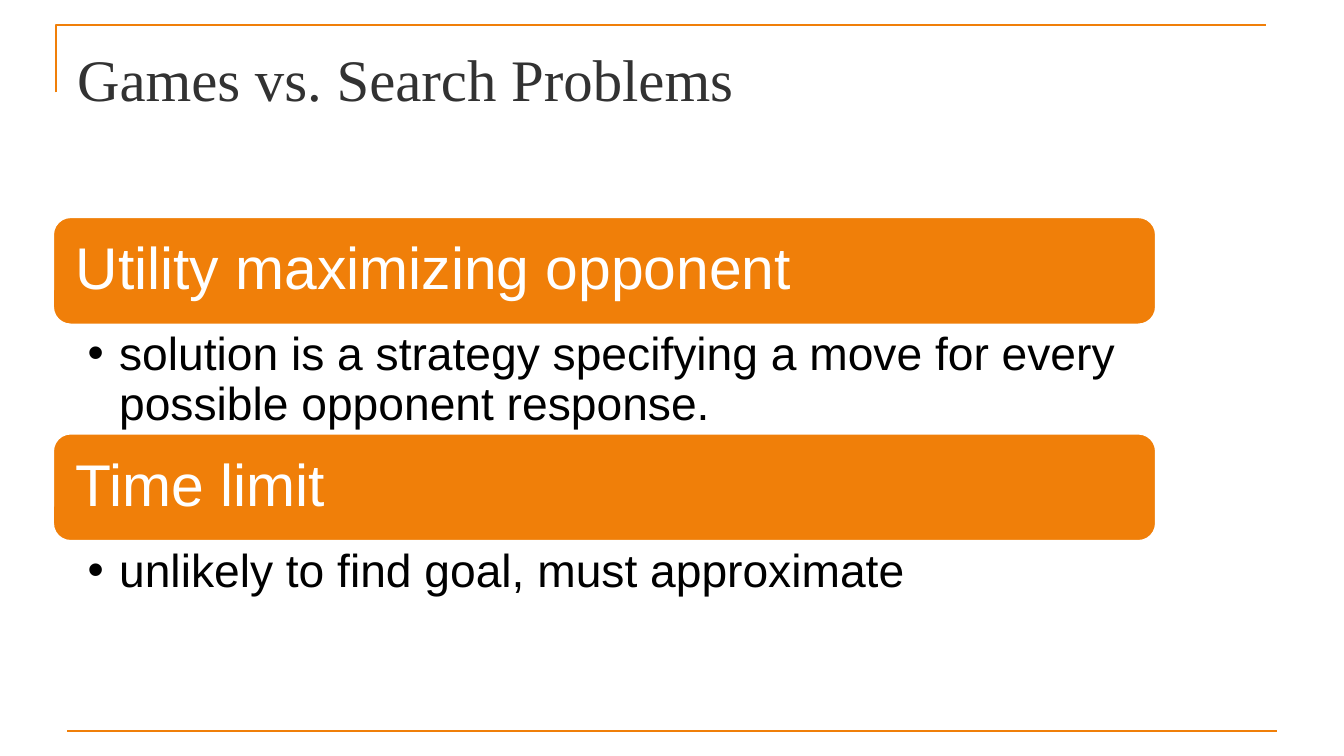
import pptx
import pptx.util
import pptx.dml.color
import pptx.enum.shapes
import pptx.enum.text
import pptx.oxml.ns
from lxml import etree

Pt = pptx.util.Pt
qn = pptx.oxml.ns.qn
ORANGE = "F07F09"


def color(fmt, code):
    """Give a fill, or the fill of a line or font, one solid colour."""
    fmt.solid()
    fmt.fore_color.rgb = pptx.dml.color.RGBColor.from_string(code)


def write(frame, text, size, face, code, pads):
    """Write one run in a frame whose pads are left, top, right, bottom."""
    frame.word_wrap = True
    frame.margin_left, frame.margin_top, frame.margin_right, frame.margin_bottom = map(Pt, pads)
    para = frame.paragraphs[0]
    para.alignment = pptx.enum.text.PP_ALIGN.LEFT
    run = para.add_run()
    run.text = text
    run.font.size = Pt(size)
    run.font.name = face
    color(run.font.fill, code)
    return para


deck = pptx.Presentation()
deck.slide_width, deck.slide_height = Pt(960), Pt(540)
slide = deck.slides.add_slide(deck.slide_layouts[6])
shapes = slide.shapes

# Frame lines
pen = shapes.build_freeform(Pt(40), Pt(66))
pen.add_line_segments([(Pt(40), Pt(18)), (Pt(904), Pt(18))], close=False)
corner = pen.convert_to_shape()
corner.shadow.inherit = False
corner.fill.background()
rule = shapes.add_connector(
    pptx.enum.shapes.MSO_CONNECTOR.STRAIGHT, Pt(48), Pt(522), Pt(912), Pt(522))
etree.SubElement(rule._element.spPr, qn("a:effectLst"))
for edge in (corner, rule):
    color(edge.line.fill, ORANGE)
    edge.line.width = Pt(1.5)

# Title
title = shapes.add_textbox(Pt(48), Pt(21.6), Pt(864), Pt(56))
write(title.text_frame, "Games vs. Search Problems", 42, "Times New Roman",
      "323232", (7.2, 8.6, 7.2, 0))

# Headed points
points = [
    ("Utility maximizing opponent",
     "solution is a strategy specifying a move for every possible opponent response."),
    ("Time limit", "unlikely to find goal, must approximate"),
]
left, top, width, height = 37.6, 154.8, 788.4, 77.3
for row, (head, detail) in enumerate(points):
    y = top + row * 2 * height
    bar = shapes.add_shape(pptx.enum.shapes.MSO_SHAPE.ROUNDED_RECTANGLE,
                           Pt(left), Pt(y), Pt(width), Pt(height))
    bar.shadow.inherit = False
    color(bar.fill, ORANGE)
    color(bar.line.fill, "FFFFFF")
    bar.line.width = Pt(2)
    bar.text_frame.vertical_anchor = pptx.enum.text.MSO_ANCHOR.MIDDLE
    para = write(bar.text_frame, head, 42, "Arial", "FFFFFF", (12.6,) * 4)
    para.line_spacing = 0.9

    note = shapes.add_textbox(Pt(left), Pt(y + height), Pt(width), Pt(height))
    para = write(note.text_frame, detail, 33, "Arial", "000000", (25, 4.2, 23.5, 4.2))
    para.line_spacing = 0.9
    props = para._p.get_or_add_pPr()
    props.set("marL", str(Pt(22.5)))
    props.set("indent", str(-Pt(22.5)))
    etree.SubElement(props, qn("a:buFont"), typeface="Arial")
    etree.SubElement(props, qn("a:buChar"), char="•")

deck.save("out.pptx")
